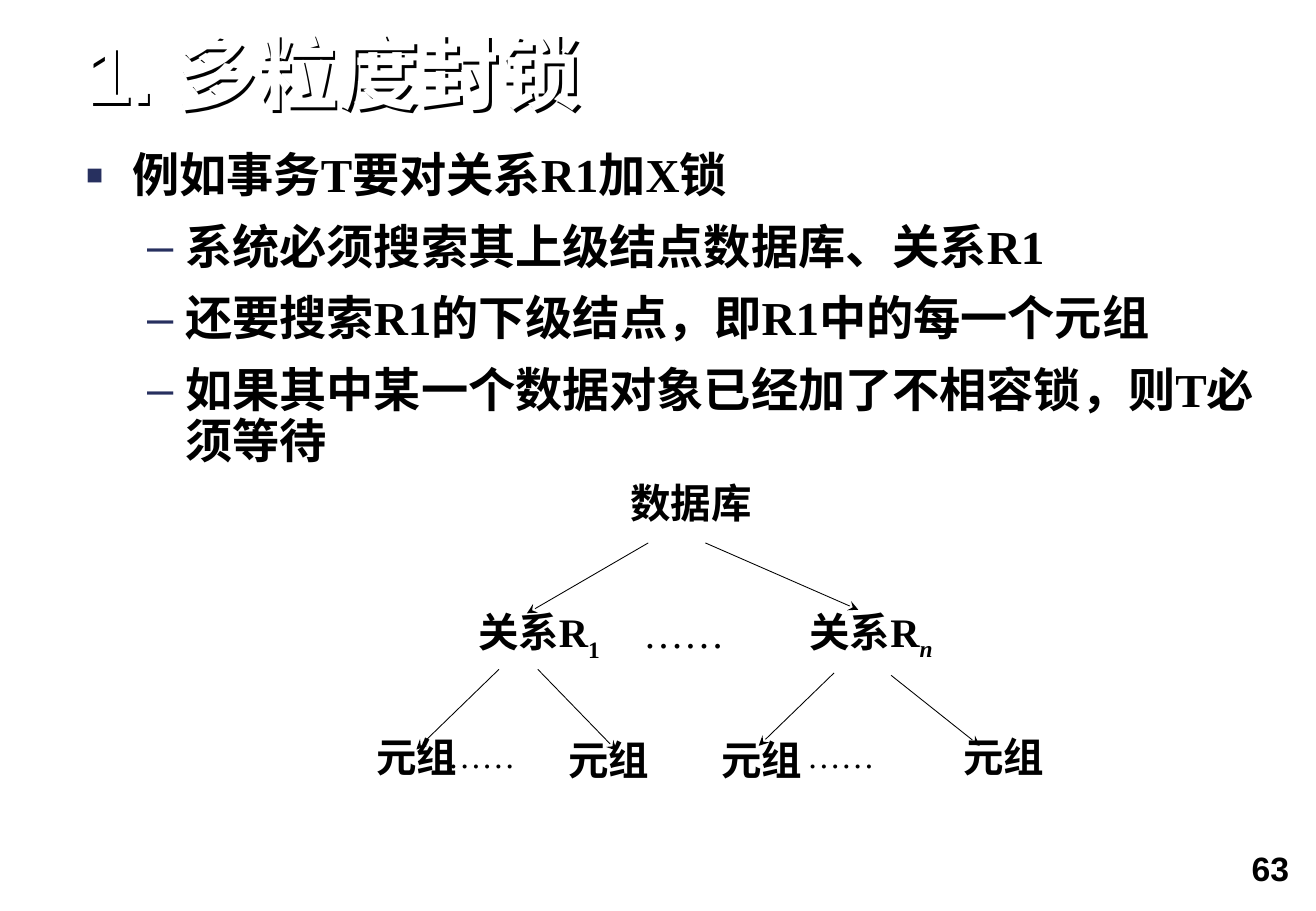
from dataclasses import dataclass

from lxml import etree
from pptx import Presentation
from pptx import util as u
from pptx.dml.color import RGBColor
from pptx.enum import shapes, text
from pptx.oxml import ns

SLIDE_WIDTH = u.Inches(10.84)
SLIDE_HEIGHT = u.Inches(7.5)
COLUMN = SLIDE_WIDTH / 100
ROW = SLIDE_HEIGHT / 100

BLACK = "000000"
WHITE = "FFFFFF"
BULLET_COLOUR = "27305F"
SERIF = "Times New Roman"
SANS = "Arial"
CENTER = text.PP_ALIGN.CENTER
JUSTIFY = text.PP_ALIGN.JUSTIFY


@dataclass(frozen=True)
class Area:
    column: float
    row: float
    columns: float
    rows: float


@dataclass(frozen=True)
class Label:
    area: Area
    words: str
    subscript: str = ""
    italic_subscript: bool = False
    size: float = 24
    bold: bool = True
    alignment: text.PP_ALIGN = CENTER


@dataclass(frozen=True)
class Arrow:
    start: tuple[float, float]
    end: tuple[float, float]


@dataclass(frozen=True)
class BulletStyle:
    level: int
    mark: str
    face: str
    size_percent: int
    margin: float
    hanging: float


TOPIC = BulletStyle(0, "■", SERIF, 60, 3.5, 3.5)
DETAIL = BulletStyle(1, "–", SANS, 100, 7.54, 2.91)

BULLETS = [
    (TOPIC, "例如事务T要对关系R1加X锁"),
    (DETAIL, "系统必须搜索其上级结点数据库、关系R1"),
    (DETAIL, "还要搜索R1的下级结点，即R1中的每一个元组"),
    (DETAIL, "如果其中某一个数据对象已经加了不相容锁，则T必须等待"),
]

ARROWS = [
    Arrow((49.26, 59.6), (40.04, 67.33)),
    Arrow((53.6, 59.6), (65.22, 66.93)),
    Arrow((37.92, 73.47), (31.64, 82.27)),
    Arrow((40.87, 73.47), (46.86, 82.4)),
    Arrow((63.38, 73.87), (57.66, 81.87)),
    Arrow((67.71, 74.13), (74.45, 81.87)),
]

LABELS = [
    Label(Area(45.3, 52.13, 14.39, 8.53), "数据库"),
    Label(Area(58.86, 66, 14.67, 7.6), "关系R", "n", True),
    Label(Area(32.56, 66, 16.79, 12.13), "关系R", "1"),
    Label(Area(26.01, 80, 11.35, 7.87), "元组"),
    Label(Area(69.1, 80, 14.39, 8.8), "元组"),
    Label(Area(40.59, 80.4, 11.35, 7.87), "元组"),
    Label(Area(52.21, 80.4, 11.35, 7.87), "元组"),
    Label(Area(47.97, 66.4, 14.67, 6.4), "……", bold=False, alignment=JUSTIFY),
    Label(Area(60.42, 80.27, 14.67, 8.8), "……", size=20, bold=False, alignment=JUSTIFY),
    Label(Area(33.12, 80.27, 14.67, 6.4), "……", size=20, bold=False, alignment=JUSTIFY),
]


def across(columns: float) -> int:
    return round(columns * COLUMN)


def down(rows: float) -> int:
    return round(rows * ROW)


def colour(value: str) -> RGBColor:
    return RGBColor.from_string(value)


def add_child(parent, tag: str, **attributes: str):
    child = etree.SubElement(parent, ns.qn(tag))
    for name, value in attributes.items():
        child.set(name, value)
    return child


def add_box(slide, area: Area, side: float = 0, top: float = 0):
    shape = slide.shapes.add_textbox(
        across(area.column), down(area.row), across(area.columns), down(area.rows)
    )
    frame = shape.text_frame
    frame.word_wrap = True
    frame.margin_left = frame.margin_right = across(side)
    frame.margin_top = frame.margin_bottom = down(top)
    return shape


def format_run(run, size: float, face: str, fill: str = BLACK, bold: bool = True) -> None:
    run.font.size = u.Pt(size)
    run.font.bold = bold
    run.font.color.rgb = colour(fill)
    run.font.name = face


def add_title(slide, words: str) -> None:
    shape = add_box(slide, Area(6.55, 3.73, 89.02, 9.6))
    frame = shape.text_frame
    frame.vertical_anchor = text.MSO_ANCHOR.BOTTOM
    frame.text = words
    paragraph = frame.paragraphs[0]
    paragraph.line_spacing = 0.9
    format_run(paragraph.runs[0], 48, SANS, WHITE)
    effects = add_child(shape._element.spPr, "a:effectLst")
    shadow = add_child(
        effects, "a:outerShdw", blurRad="0", dist="25400", dir="2700000",
        algn="ctr", rotWithShape="0",
    )
    add_child(shadow, "a:srgbClr", val=BLACK)


def add_bullet(paragraph, style: BulletStyle) -> None:
    paragraph.level = style.level
    properties = paragraph._p.get_or_add_pPr()
    properties.set("marL", str(across(style.margin)))
    properties.set("indent", str(-across(style.hanging)))
    add_child(add_child(properties, "a:buClr"), "a:srgbClr", val=BULLET_COLOUR)
    add_child(properties, "a:buSzPct", val=str(style.size_percent * 1000))
    add_child(properties, "a:buFont", typeface=style.face)
    add_child(properties, "a:buChar", char=style.mark)


def add_body(slide) -> None:
    frame = add_box(slide, Area(6.55, 16.67, 89.02, 34.8)).text_frame
    frame.text = "\n".join(words for _, words in BULLETS)
    for index, (paragraph, (style, _)) in enumerate(zip(frame.paragraphs, BULLETS)):
        add_bullet(paragraph, style)
        paragraph.line_spacing = 0.9
        if index:
            paragraph.space_before = u.Pt(12.2)
        format_run(paragraph.runs[0], 28, SERIF)


def add_arrow(slide, arrow: Arrow) -> None:
    connector = slide.shapes.add_connector(
        shapes.MSO_CONNECTOR.STRAIGHT,
        across(arrow.start[0]), down(arrow.start[1]),
        across(arrow.end[0]), down(arrow.end[1]),
    )
    connector.line.color.rgb = colour(BLACK)
    connector.line.width = u.Pt(0.5)
    add_child(connector.line._get_or_add_ln(), "a:tailEnd", type="stealth")
    add_child(connector._element.spPr, "a:effectLst")


def add_label(slide, label: Label) -> None:
    frame = add_box(slide, label.area, 0.92, 0.67).text_frame
    frame.text = label.words
    paragraph = frame.paragraphs[0]
    paragraph.alignment = label.alignment
    paragraph.line_spacing = 0.96
    format_run(paragraph.runs[0], label.size, SERIF, bold=label.bold)
    if label.subscript:
        run = paragraph.add_run()
        run.text = label.subscript
        format_run(run, label.size, SERIF, bold=label.bold)
        run.font.italic = label.italic_subscript
        run._r.get_or_add_rPr().set("baseline", "-25000")


def add_page_number(slide, number: str) -> None:
    frame = add_box(slide, Area(73.89, 92.27, 25.28, 7.73), 1.2, 0.8).text_frame
    frame.text = number
    paragraph = frame.paragraphs[0]
    paragraph.alignment = text.PP_ALIGN.RIGHT
    format_run(paragraph.runs[0], 20, SANS)


def main() -> None:
    presentation = Presentation()
    presentation.slide_width = SLIDE_WIDTH
    presentation.slide_height = SLIDE_HEIGHT
    slide = presentation.slides.add_slide(presentation.slide_layouts[6])
    add_page_number(slide, "63")
    add_title(slide, "1. 多粒度封锁")
    add_body(slide)
    for arrow in ARROWS:
        add_arrow(slide, arrow)
    for label in LABELS:
        add_label(slide, label)
    presentation.save("out.pptx")


if __name__ == "__main__":
    main()
